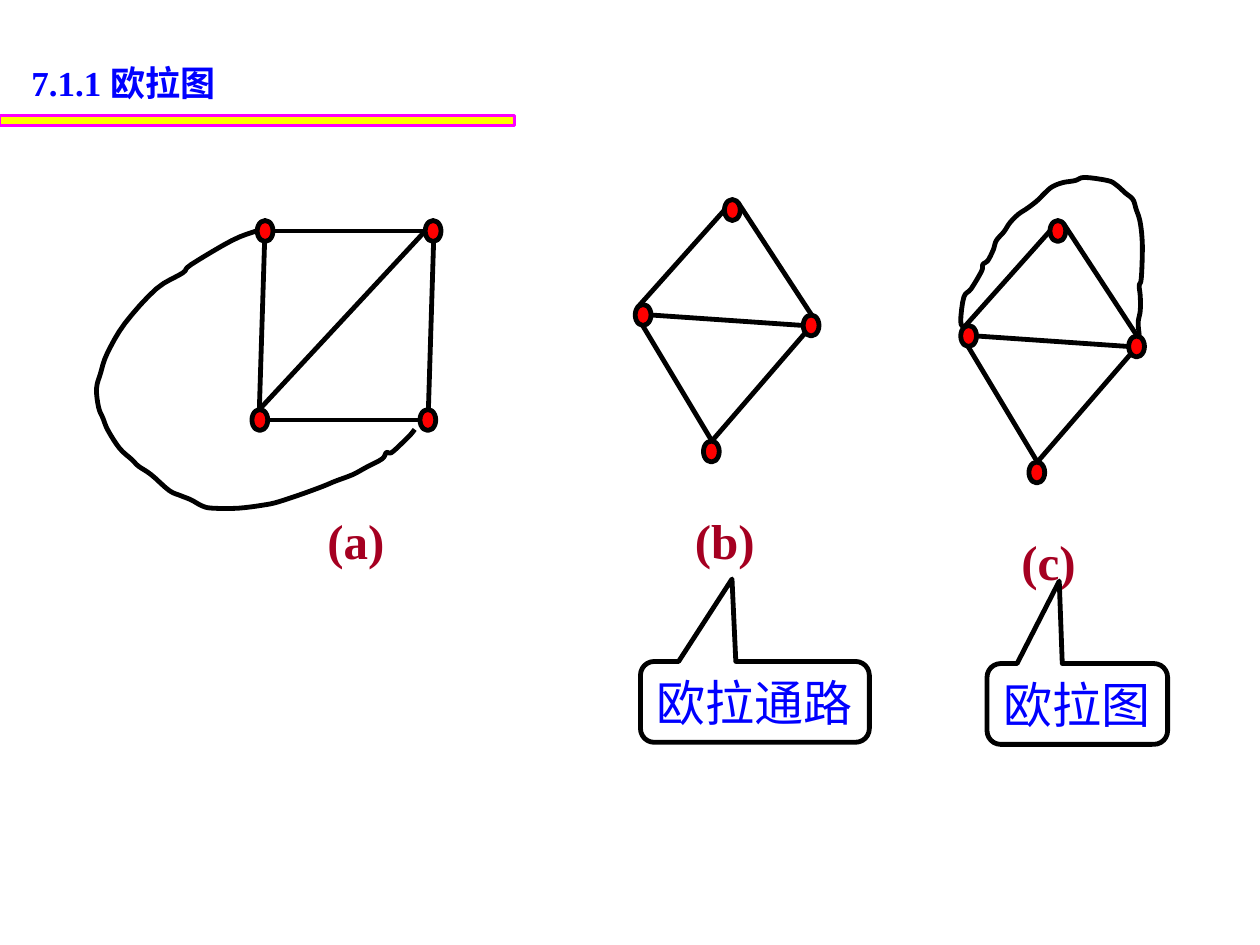
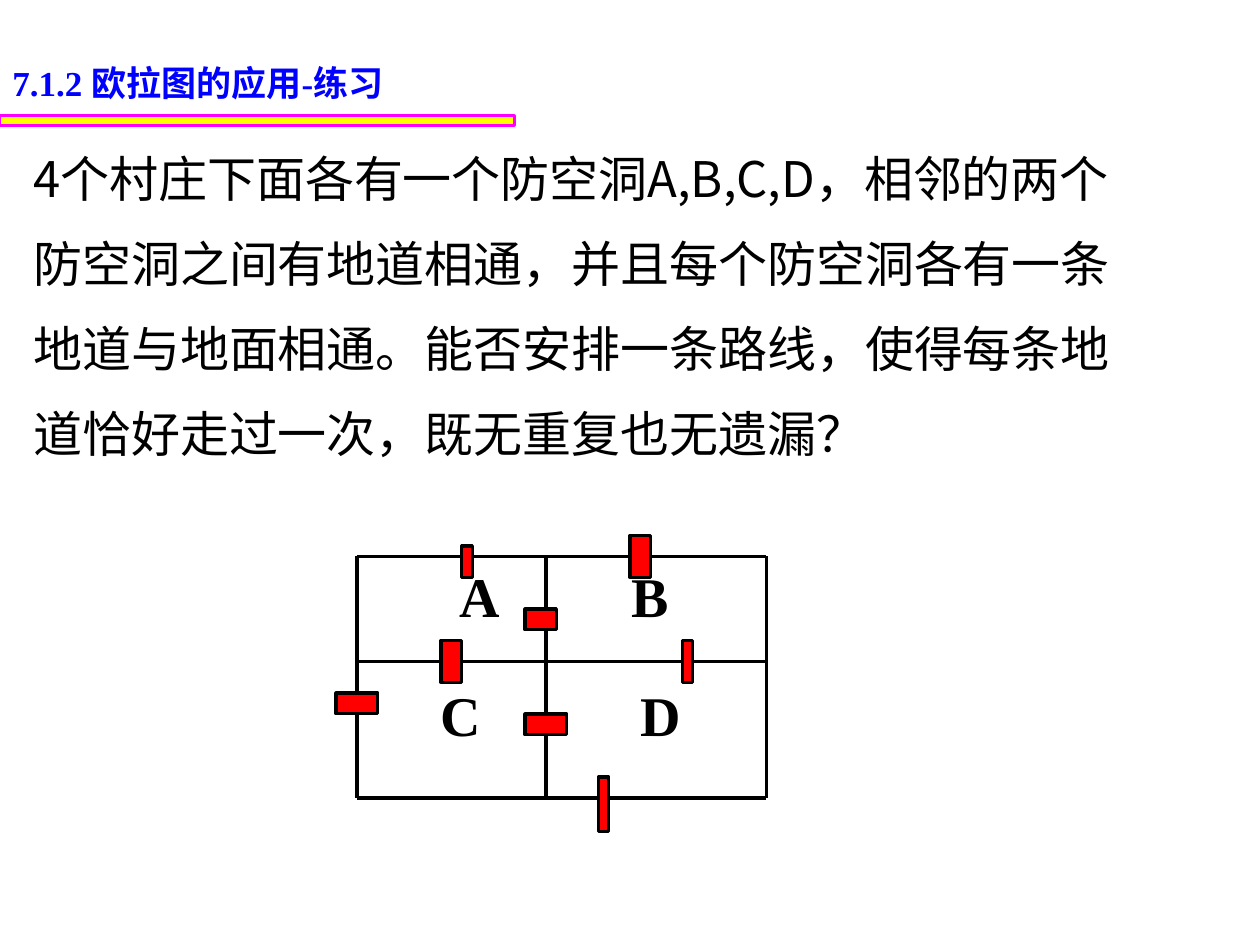
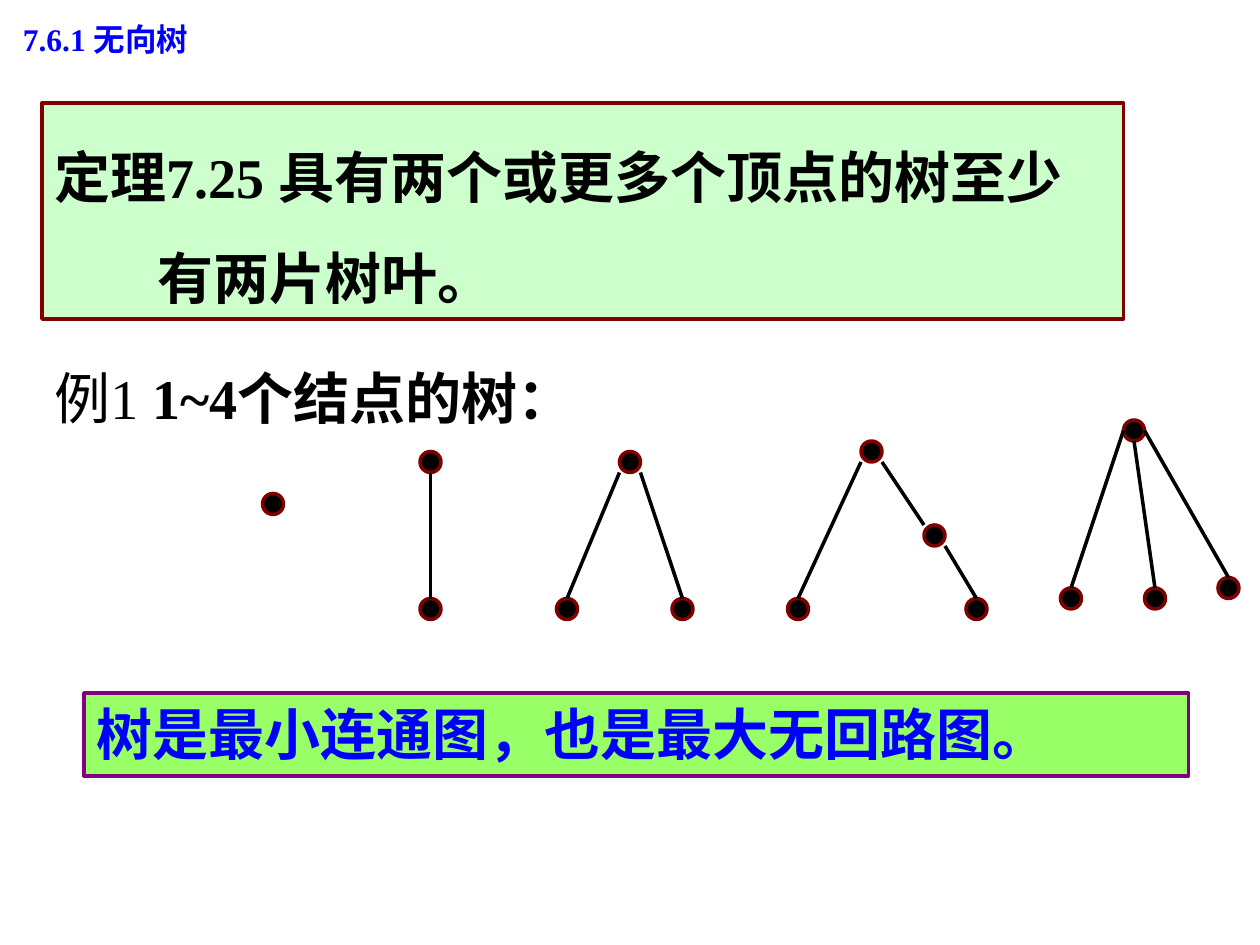
from lxml import etree
from pptx import Presentation
from pptx import util as u
from pptx.dml.color import RGBColor
from pptx.enum import shapes, text
from pptx.oxml import ns

COLORS = {"black": "000000", "red": "FF0000", "blue": "0000FF", "crimson": "A50021",
          "yellow": "FFFF00", "magenta": "FF00FF", "maroon": "800000",
          "mint": "CCFFCC", "lime": "99FF66", "purple": "800080"}
SERIF, SANS, CJK, CJK_JP = "Times New Roman", "Arial", "Noto Sans CJK SC", "Noto Sans CJK JP"
WIDTH, HEIGHT = u.Inches(10), u.Inches(7.5)
COLUMNS = 120
CELL = WIDTH / COLUMNS  # rows are as tall as columns are wide
SHAPE = shapes.MSO_SHAPE

DIAMOND_NODES = [(0, 10), (16, 11), (6.5, 23), (8.5, 0)]
DIAMOND_EDGES = [(1.5, 11, 16, 12), (0.2, 10.3, 8.5, 1), (0.7, 12, 7.3, 23),
                 (9.8, 0.3, 16.8, 11), (7.3, 23, 16.2, 12.7)]
SQUARE_NODES = [(0.5, 0), (16.5, 0), (0, 18), (16, 18)]
SQUARE_EDGES = [(2, 1, 16.5, 1), (1.5, 19, 16, 19), (1.2, 2, 0.7, 18),
                (17.3, 2, 16.8, 18), (0.7, 18, 16.5, 1)]
SQUARE_LOOP = [
    (0.4, 1), (-1.9, 1.9), (-5.8, 4.2), (-6.6, 5), (-9.1, 6.5), (-12.1, 9.8), (-13.8, 12.7),
    (-14.4, 14.5), (-14.8, 16), (-14.6, 17.8), (-14.2, 18.8), (-13.7, 20), (-12.6, 21.7),
    (-11.4, 22.8), (-10.8, 23.4), (-9.6, 24.2), (-7.9, 25.7), (-6.8, 26.2), (-5.8, 26.6),
    (-4.7, 27.2), (-3.7, 27.4), (-1.3, 27.4), (1.1, 27.1), (2.5, 26.8), (4.9, 26), (6.8, 25.3),
    (8, 24.8), (9.6, 24.2), (10.9, 23.5), (12.4, 22.7), (12.8, 22.1), (13.3, 22.1),
    (14.4, 21.1), (15.1, 20.4), (15.5, 19.9)]
DIAMOND_LOOP = [
    (0.3, 10.2), (0, 9.6), (0.3, 7.3), (1, 6.5), (2, 4.8), (2.1, 4.2), (2.6, 3.8), (3.1, 2.8),
    (3.4, 1.9), (4.1, 1.1), (4.7, 0.2), (5.5, -0.6), (6.4, -1.2), (7.3, -1.9), (8, -2.6),
    (8.7, -3.2), (9.7, -3.6), (10.9, -3.8), (11.8, -4.1), (14, -3.8), (14.8, -3.4),
    (15.7, -2.6), (16.4, -2), (16.7, -1.1), (17.1, 0.2), (17.3, 2.4), (17.2, 5.5), (17, 6.2),
    (17.1, 7.2), (17.1, 8.6), (16.9, 9.7), (17, 10.9)]

# Each tree: left, top, nodes, edges
TREES = [
    (25, 47, [(0, 0)], []),
    (40, 43, [(0, 0), (0, 14)], [(1, 2, 1, 14)]),
    (53, 43, [(6, 0), (0, 14), (11, 14)], [(6, 2, 1, 14), (8, 2, 12, 14)]),
    (75, 42, [(7, 0), (0, 15), (13, 8), (17, 15)],
     [(7, 2, 1, 15), (9, 2, 13, 8), (15, 10, 18, 15)]),
    (101, 40, [(6, 0), (0, 16), (8, 16), (15, 15)],
     [(6, 1, 1, 16), (7, 2, 9, 16), (8, 1, 16, 15)]),
]

# Wall position -> spans along it
ROW_WALLS = {0: [(0, 10), (11, 26), (28, 39)], 10: [(0, 8), (10, 31), (32, 39)],
             23: [(0, 24), (24, 39)]}
COLUMN_WALLS = {0: [(0, 13), (15, 23)], 18: [(0, 5), (7, 10), (10, 15), (17, 23)],
                39: [(0, 23)]}
DOORS = [(10, -1, 1, 3), (26, -2, 2, 4), (8, 8, 2, 4), (16, 5, 3, 2),
         (31, 8, 1, 4), (23, 21, 1, 5.2), (-2, 13, 4, 2), (16, 15, 4, 2)]
ROOMS = {"A": (8.6, -0.1), "B": (25, -0.1), "C": (6.8, 11.2), "D": (25.8, 11.2)}


def grid(*cells):
    return [u.Emu(round(c * CELL)) for c in cells]


def rgb(name):
    return RGBColor.from_string(COLORS[name])


def outline(shape, color, width):
    shape.line.color.rgb = rgb(color)
    shape.line.width = u.Pt(width)


def add_box(parts, kind, box, fill, color, width):
    shape = parts.add_shape(kind, *grid(*box))
    shape.shadow.inherit = False
    if fill:
        shape.fill.solid()
        shape.fill.fore_color.rgb = rgb(fill)
    else:
        shape.fill.background()
    outline(shape, color, width)
    return shape


def add_line(parts, ends, width):
    line = parts.add_connector(shapes.MSO_CONNECTOR.STRAIGHT, *grid(*ends))
    etree.SubElement(line._element.spPr, ns.qn("a:effectLst"))
    outline(line, "black", width)


def write(shape, paragraphs, size, font=SERIF, color="black", bold=False, wrap=True,
          spacing=None, anchor=text.MSO_ANCHOR.TOP):
    """Fill a shape; a paragraph is a string or a list of (text, font, bold) runs."""
    tf = shape.text_frame
    tf.word_wrap = wrap
    tf.auto_size = text.MSO_AUTO_SIZE.SHAPE_TO_FIT_TEXT
    tf.vertical_anchor = anchor
    for i, content in enumerate(paragraphs):
        p = tf.add_paragraph() if i else tf.paragraphs[0]
        p.alignment = text.PP_ALIGN.LEFT
        if spacing:
            p.line_spacing = spacing
        p.font.size = u.Pt(size)
        p.font.color.rgb = rgb(color)
        if isinstance(content, str):
            p.add_run().text = content
            p.font.name, p.font.bold = font, bold
            continue
        for words, run_font, run_bold in content:
            r = p.add_run()
            r.text = words
            r.font.name, r.font.bold = run_font, run_bold
    return tf


def add_text(s, box, paragraphs, size, **style):
    write(s.shapes.add_textbox(*grid(*box)), paragraphs, size, **style)


def add_title(s, box, title, size=20):
    add_text(s, box, [title], size, color="blue", bold=True)


def add_title_band(s):
    add_box(s.shapes, SHAPE.RECTANGLE, (0, 11, 49, 1), "yellow", "magenta", 1.75)


def add_graph(parts, left, top, nodes, edges, node_size, fill, rim, width):
    for x, y in nodes:
        add_box(parts, SHAPE.OVAL, (left + x, top + y, *node_size), fill, rim, width)
    for x1, y1, x2, y2 in edges:
        add_line(parts, (left + x1, top + y1, left + x2, top + y2), width)


def smooth(points, steps=4):
    """Points of a Catmull-Rom curve through the given points."""
    padded = [points[0], *points, points[-1]]
    curve = [points[0]]
    for a, b, c, d in zip(padded, padded[1:], padded[2:], padded[3:]):
        for t in (k / steps for k in range(1, steps + 1)):
            curve.append(tuple(
                (2 * q + (r - p) * t + (2 * p - 5 * q + 4 * r - v) * t ** 2
                 + (3 * q - p - 3 * r + v) * t ** 3) / 2
                for p, q, r, v in zip(a, b, c, d)))
    return curve


def add_loop(s, left, top, points):
    start, *rest = [grid(left + x, top + y) for x, y in smooth(points)]
    builder = s.shapes.build_freeform(*start)
    builder.add_line_segments(rest, close=False)
    loop = builder.convert_to_shape()
    loop.shadow.inherit = False
    loop.fill.background()
    outline(loop, "black", 2.75)


def add_euler_graph(s, left, top, nodes, edges, caption, caption_box, loop=None):
    add_graph(s.shapes, left, top, nodes, edges, (1.5, 2), "red", "black", 2.75)
    if loop:
        add_loop(s, left, top, loop)
    x, y, width = caption_box
    add_text(s, (left + x, top + y, width, 6.8), [caption], 28,
             color="crimson", bold=True, wrap=False)


def add_callout(s, box, label):
    callout = add_box(s.shapes, SHAPE.ROUNDED_RECTANGULAR_CALLOUT, box, None, "black", 2.75)
    for i, value in enumerate((-0.1, -1.52, 0.17)):
        callout.adjustments[i] = value
    write(callout, [label], 28, font=SANS, color="blue", wrap=False,
          anchor=text.MSO_ANCHOR.MIDDLE)


def add_floor_plan(s, left, top):
    for y, spans in ROW_WALLS.items():
        for x1, x2 in spans:
            add_line(s.shapes, (left + x1, top + y, left + x2, top + y), 1.75)
    for x, spans in COLUMN_WALLS.items():
        for y1, y2 in spans:
            add_line(s.shapes, (left + x, top + y1, left + x, top + y2), 1.75)
    for x, y, width, height in DOORS:
        add_box(s.shapes, SHAPE.RECTANGLE, (left + x, top + y, width, height),
                "red", "black", 1.75)
    for room, (x, y) in ROOMS.items():
        add_text(s, (left + x, top + y, 6.2, 7.6), [room], 32, bold=True, wrap=False)


def euler_graph_slide(s):
    add_title_band(s)
    add_title(s, (1.8, 5.3, 36.2, 5.2), "7.1.1 欧拉图")
    add_euler_graph(s, 24, 21, SQUARE_NODES, SQUARE_EDGES, "(a)", (6, 27, 7.9), SQUARE_LOOP)
    add_euler_graph(s, 60.5, 19, DIAMOND_NODES, DIAMOND_EDGES, "(b)", (4.5, 29, 8.2))
    add_euler_graph(s, 91.5, 21, DIAMOND_NODES, DIAMOND_EDGES, "(c)", (4.6, 29, 7.7),
                    DIAMOND_LOOP)
    add_callout(s, (94, 63.2, 17.2, 7.7), "欧拉图")
    add_callout(s, (61, 63, 21.8, 7.7), "欧拉通路")


def exercise_slide(s):
    add_title_band(s)
    add_title(s, (0, 5.3, 49.2, 5.2), "7.1.2 欧拉图的应用-练习")
    add_text(s, (2, 11, 113, 33.7), [
        "4个村庄下面各有一个防空洞A,B,C,D，相邻的两个",
        "防空洞之间有地道相通，并且每个防空洞各有一条",
        "地道与地面相通。能否安排一条路线，使得每条地",
        "道恰好走过一次，既无重复也无遗漏？",
    ], 28, font=CJK_JP, spacing=1.45)
    add_floor_plan(s, 34, 53)


def tree_slide(s):
    add_title(s, (1, 1.3, 36, 4.8), [("7.6.1 ", SERIF, True), ("无向树", CJK, True)], 18)
    theorem = add_box(s.shapes, SHAPE.RECTANGLE, (4, 9.8, 103, 20.6), "mint", "maroon", 2)
    tf = write(theorem, [
        [("定理", CJK, True), ("7.25 ", SERIF, True),
         ("具有两个或更多个顶点的树至少", CJK, True)],
        "有两片树叶。",
    ], 32, font=CJK, bold=True, spacing=1.5)
    tf.paragraphs[1]._p.get_or_add_pPr().set("marL", str(grid(9.8)[0]))
    add_text(s, (4, 34, 73.2, 7.6), [
        [("例", SANS, False), ("1 ", SERIF, False), ("1~4", SERIF, True),
         ("个结点的树：", CJK, True)]], 32)
    for left, top, nodes, edges in TREES:
        parts = s.shapes.add_group_shape().shapes if len(nodes) > 2 else s.shapes
        add_graph(parts, left, top, nodes, edges, (2, 2), "black", "maroon", 2)
    conclusion = add_box(s.shapes, SHAPE.RECTANGLE, (8, 66, 105.2, 7.9), "lime", "purple", 2)
    write(conclusion, ["树是最小连通图，也是最大无回路图。"], 32, font=CJK, color="blue", bold=True)


def main():
    prs = Presentation()
    prs.slide_width, prs.slide_height = WIDTH, HEIGHT
    for build in (euler_graph_slide, exercise_slide, tree_slide):
        build(prs.slides.add_slide(prs.slide_layouts[6]))
    prs.save("out.pptx")


if __name__ == "__main__":
    main()
